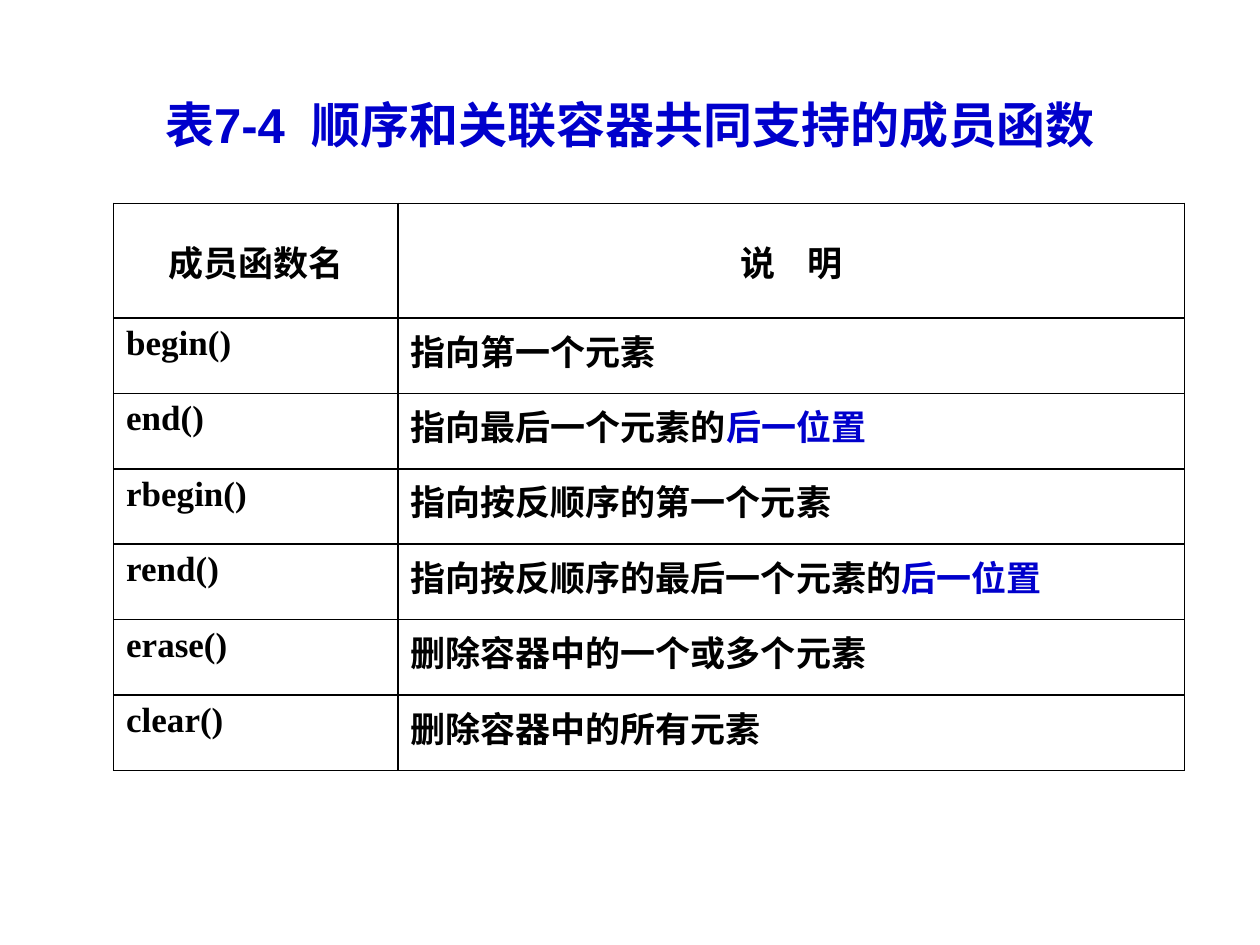
from pptx import Presentation
from pptx.dml.color import RGBColor as Rgb
from pptx.enum.text import MSO_ANCHOR as Anchor, MSO_AUTO_SIZE as Auto, PP_ALIGN as Align
from pptx.oxml import parse_xml
from pptx.oxml.ns import nsdecls
from pptx.util import Cm, Pt

COLORS = {"blue": "0000CC", "black": "000000"}
HANG = Cm(0.97)

HEADS = ["成员函数名", "说    明"]
# Function name, meaning, highlighted ending
ROWS = [
    ("begin()", "指向第一个元素", ""),
    ("end()", "指向最后一个元素的", "后一位置"),
    ("rbegin()", "指向按反顺序的第一个元素", ""),
    ("rend()", "指向按反顺序的最后一个元素的", "后一位置"),
    ("erase()", "删除容器中的一个或多个元素", ""),
    ("clear()", "删除容器中的所有元素", ""),
]


def write(frame, text, size=20, font="Times New Roman", color="black", align=Align.LEFT):
    """Add a bold run to the first paragraph of a frame."""
    para = frame.paragraphs[0]
    para.alignment = align
    run = para.add_run()
    run.text = text
    run.font.size = Pt(size)
    run.font.name = font
    run.font.bold = True
    run.font.color.rgb = Rgb.from_string(COLORS[color])


def hang(frame):
    props = frame.paragraphs[0]._p.get_or_add_pPr()
    props.set("marL", str(HANG))
    props.set("indent", str(-HANG))


def border(cell):
    props = cell._tc.get_or_add_tcPr()
    for pos, side in enumerate(("lnL", "lnR", "lnT", "lnB")):
        line = parse_xml(
            f'<a:{side} {nsdecls("a")} w="{Pt(1)}"><a:solidFill>'
            f'<a:srgbClr val="{COLORS["black"]}"/></a:solidFill></a:{side}>'
        )
        props.insert(pos, line)


def add_title(slide, text):
    title = slide.shapes.title
    title.left, title.top = Cm(1.9), Cm(0.91)
    title.width, title.height = Cm(21.6), Cm(3.18)
    frame = title.text_frame
    frame.auto_size = Auto.NONE
    frame.vertical_anchor = Anchor.MIDDLE
    write(frame, text, size=28, font="Arial", color="blue", align=Align.CENTER)


def add_grid(slide):
    count = len(ROWS) + 1
    table = slide.shapes.add_table(
        count, 2, Cm(2.29), Cm(4.1), Cm(21.59), Cm(11.43)
    ).table
    table.first_row = table.horz_banding = False
    for col, width in zip(table.columns, (5.73, 15.86)):
        col.width = Cm(width)
    for pos, row in enumerate(table.rows):
        row.height = Cm(1.52 if pos else 2.31)
    for cell in table.iter_cells():
        cell.fill.background()
        border(cell)
        hang(cell.text_frame)

    # Header row
    for col, text in enumerate(HEADS):
        cell = table.cell(0, col)
        cell.vertical_anchor = Anchor.MIDDLE
        write(cell.text_frame, text, align=Align.CENTER)

    # Member functions
    for pos, (name, note, mark) in enumerate(ROWS, 1):
        write(table.cell(pos, 0).text_frame, name)
        frame = table.cell(pos, 1).text_frame
        write(frame, note)
        if mark:
            write(frame, mark, color="blue")


def main():
    deck = Presentation()
    deck.slide_width, deck.slide_height = Cm(25.4), Cm(19.05)
    slide = deck.slides.add_slide(deck.slide_layouts[5])
    add_title(slide, "表7-4  顺序和关联容器共同支持的成员函数")
    add_grid(slide)
    deck.save("out.pptx")


if __name__ == "__main__":
    main()
